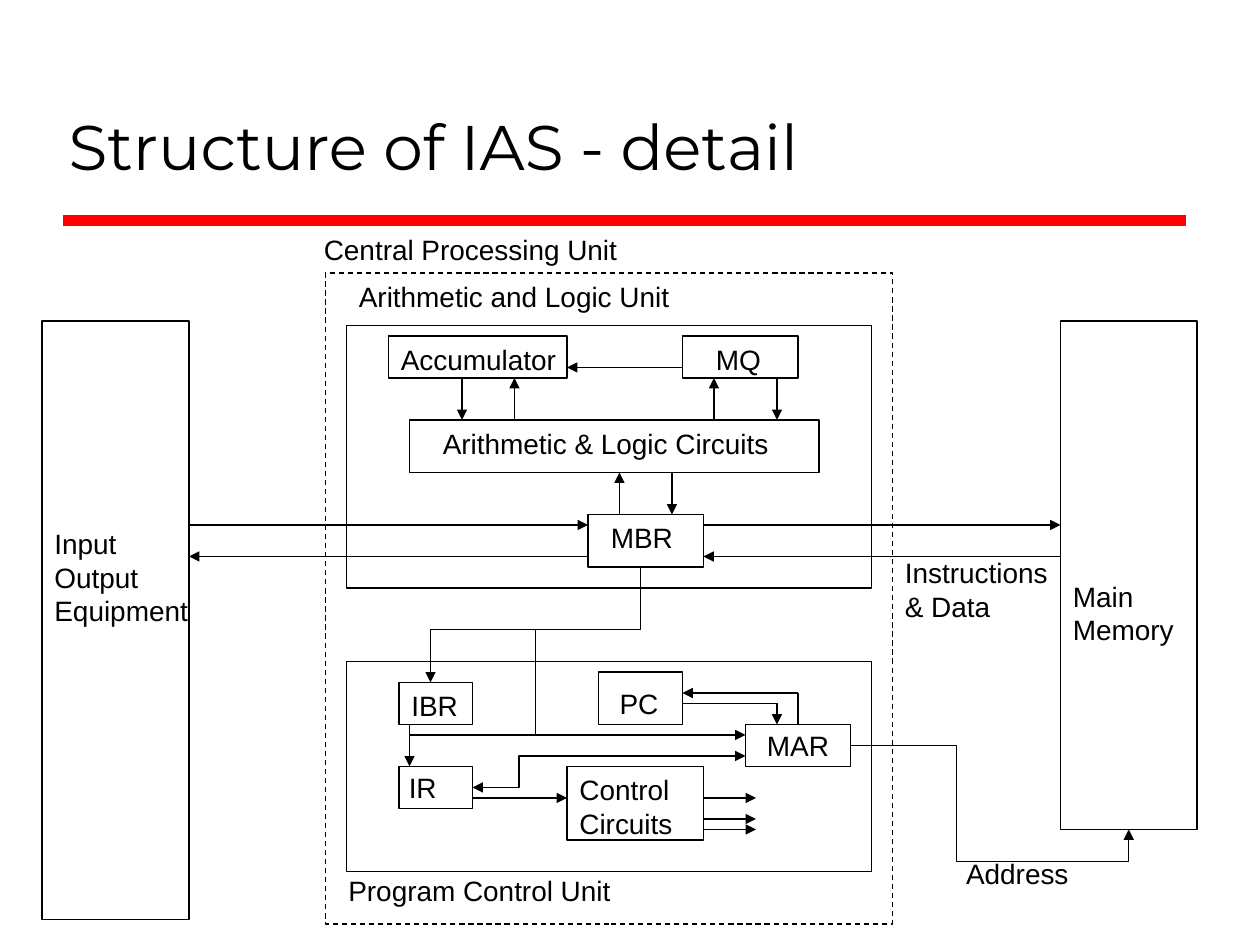
import pptx
import pptx.util
import pptx.dml.color
import pptx.enum.dml
import pptx.enum.shapes
import pptx.enum.text
import pptx.oxml.ns
import lxml.etree

Pt = pptx.util.Pt
qn = pptx.oxml.ns.qn
KIND = pptx.enum.shapes.MSO_CONNECTOR
ALIGN = pptx.enum.text.PP_ALIGN
ANCHOR = pptx.enum.text.MSO_ANCHOR
COLORS = {"ink": "000000", "rule": "FF0000"}

# left, top, width, height
BOXES = {
    "io": (24, 183.5, 84, 342),
    "alu": (198, 186, 300, 150),
    "control unit": (198, 378, 300, 120),
    "memory": (606, 183.5, 78, 290.5),
    "mbr": (336, 294, 66, 30),
    "circuits": (234, 240, 234, 30),
    "accumulator": (222, 192, 102, 24),
    "mq": (390, 192, 66, 24),
    "ibr": (228, 390, 42, 24),
    "ir": (228, 438, 42, 24),
    "control": (324, 438, 78, 42),
    "pc": (342, 384, 48, 30),
    "mar": (426, 414, 60, 24),
}

# text, left, top, width
LABELS = [
    ("Main\nMemory", 606, 327.5, 78),
    ("Arithmetic and Logic Unit", 198, 156, 198),
    ("Program Control Unit", 192, 495.5, 172),
    ("Input\nOutput\nEquipment", 24, 297.5, 96),
    ("MBR", 342, 294, 56),
    ("Arithmetic & Logic Circuits", 246, 240, 208),
    ("MQ", 402, 192, 46),
    ("Accumulator", 222, 192, 109),
    ("Control\nCircuits", 324, 438, 74),
    ("IBR", 228, 390, 47),
    ("IR", 226.5, 437, 38),
    ("PC", 347, 389, 42),
    ("Address", 545, 486, 80),
    ("Instructions\n& Data", 510, 314, 102),
    ("Central Processing Unit", 178, 129.5, 188),
]

# from x, y, to x, y
ARROWS = [
    (108, 300, 336, 300), (336, 318, 108, 318),
    (402, 300, 606, 300), (606, 318, 402, 318),
    (354, 294, 354, 270), (384, 270, 384, 294),
    (264, 216, 264, 240), (294, 240, 294, 216),
    (408, 240, 408, 216), (444, 216, 444, 240),
    (390, 210, 324, 210),
    (234, 414, 234, 438), (270, 456, 324, 456),
    (456, 396, 390, 396), (444, 402, 444, 414),
    (234, 420, 426, 420),
    (402, 456, 432, 456), (402, 468, 432, 468), (402, 474, 432, 474),
]
LINES = [(456, 396, 456, 414), (444, 402, 390, 402), (306, 360, 306, 420)]


def tint(name):
    return pptx.dml.color.RGBColor.from_string(COLORS[name])


def style(frame, size, font, align=ALIGN.LEFT):
    for para in frame.paragraphs:
        para.alignment = align
        for run in para.runs:
            run.font.size = Pt(size)
            run.font.name = font
            run.font.color.rgb = tint("ink")


def title(slide, text):
    shape = slide.shapes.title
    shape.left, shape.top, shape.width, shape.height = map(Pt, (32, 18, 646, 90))
    frame = shape.text_frame
    frame.text = text
    frame.vertical_anchor = ANCHOR.BOTTOM
    style(frame, 36, "Montserrat")


def box(slide, place):
    shape = slide.shapes.add_shape(
        pptx.enum.shapes.MSO_SHAPE.RECTANGLE, *map(Pt, place))
    shape.shadow.inherit = False
    shape.fill.background()
    shape.line.color.rgb = tint("ink")
    shape.line.width = Pt(0.75)
    return shape


def label(slide, text, left, top, width):
    high = 7.2 + 19.2 * len(text.split("\n"))
    shape = slide.shapes.add_textbox(Pt(left), Pt(top), Pt(width), Pt(high))
    frame = shape.text_frame
    frame.text = text
    frame.word_wrap = True
    style(frame, 16, "Arial")


def link(slide, ends, kind=KIND.STRAIGHT, color="ink", width=0.75, tips=()):
    """Draw a connector; tips names the ends with arrowheads."""
    wire = slide.shapes.add_connector(kind, *map(Pt, ends))
    wire.line.color.rgb = tint(color)
    wire.line.width = Pt(width)
    props = wire._element.spPr
    lxml.etree.SubElement(props, qn("a:effectLst"))
    for tip in tips:
        lxml.etree.SubElement(props.find(qn("a:ln")), qn("a:" + tip), type="triangle")
    return wire


def bend(wire, *shares):
    """Set where an elbow turns, as shares of its width and height."""
    geom = wire._element.spPr.find(qn("a:prstGeom"))
    geom.set("prst", f"bentConnector{len(shares) + 2}")
    guides = geom.find(qn("a:avLst"))
    for num, share in enumerate(shares, 1):
        lxml.etree.SubElement(guides, qn("a:gd"), name=f"adj{num}",
                              fmla=f"val {round(share * 100000)}")


def elbows(slide, boxes):
    tail = ["tailEnd"]
    wire = link(slide, (486, 426, 645, 474), KIND.ELBOW, tips=tail)
    wire.begin_connect(boxes["mar"], 3)
    wire.end_connect(boxes["memory"], 2)
    bend(wire, 0.38, 1.38)

    both = ["headEnd", "tailEnd"]
    bend(link(slide, (270, 450, 426, 432), KIND.ELBOW, tips=both), 0.17)

    # Turned a quarter, so that it leaves and arrives vertically
    wire = link(slide, (273, 297, 339, 417), KIND.ELBOW, tips=tail)
    wire._element.spPr.find(qn("a:xfrm")).set("rot", "5400000")
    bend(wire, 0.54)


def main():
    deck = pptx.Presentation()
    deck.slide_width, deck.slide_height = Pt(720), Pt(540)
    slide = deck.slides.add_slide(deck.slide_layouts[5])
    title(slide, "Structure of IAS - detail")
    link(slide, (36, 126, 678, 126), color="rule", width=6)

    cpu = box(slide, (186, 156, 324, 372))
    cpu.line.dash_style = pptx.enum.dml.MSO_LINE.DASH
    boxes = {name: box(slide, place) for name, place in BOXES.items()}
    frame = boxes["mar"].text_frame
    frame.text = "MAR"
    frame.word_wrap = True
    style(frame, 16, "Arial", ALIGN.CENTER)

    for item in LABELS:
        label(slide, *item)
    for ends in ARROWS:
        link(slide, ends, tips=["tailEnd"])
    for ends in LINES:
        link(slide, ends)
    elbows(slide, boxes)
    deck.save("out.pptx")


if __name__ == "__main__":
    main()
